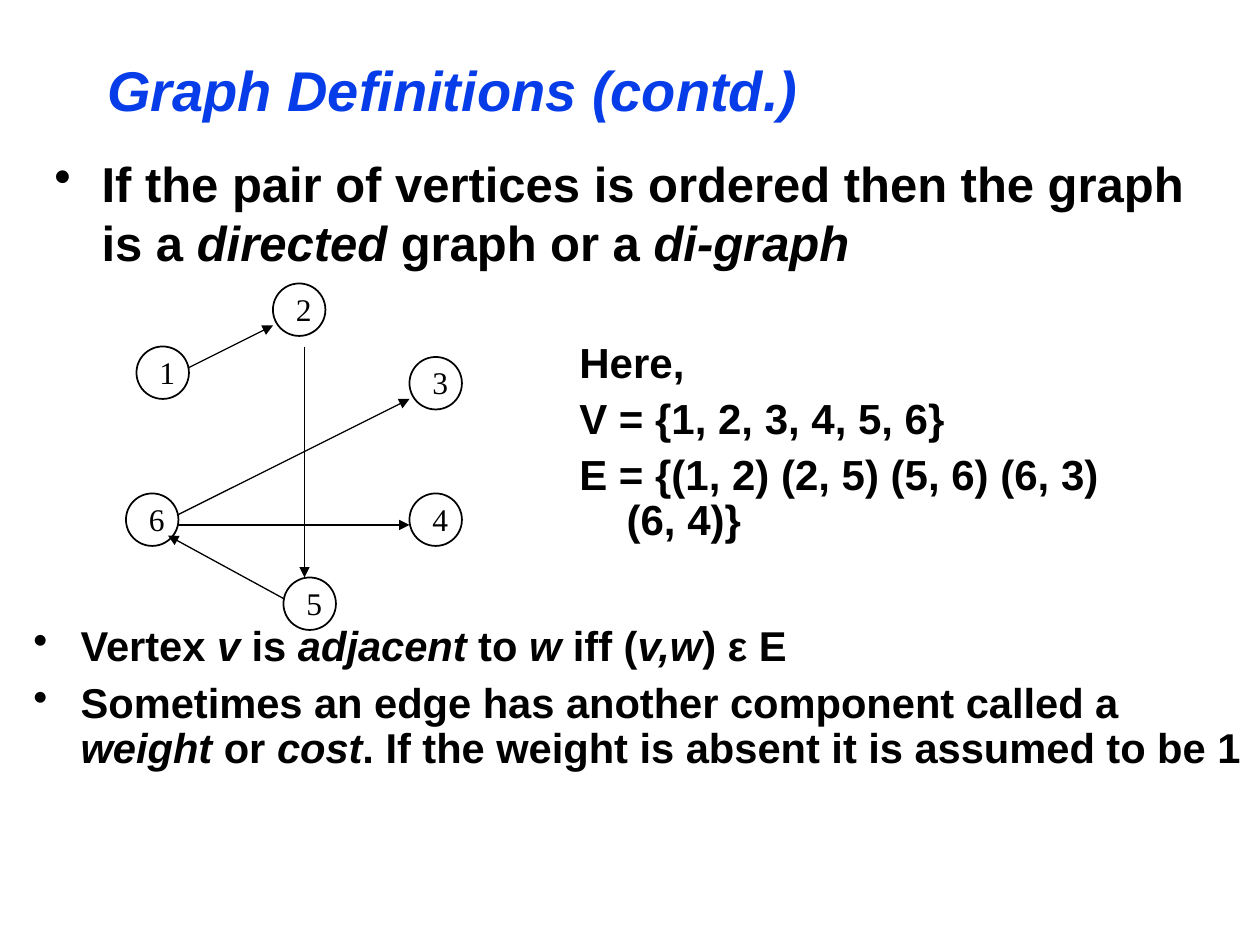
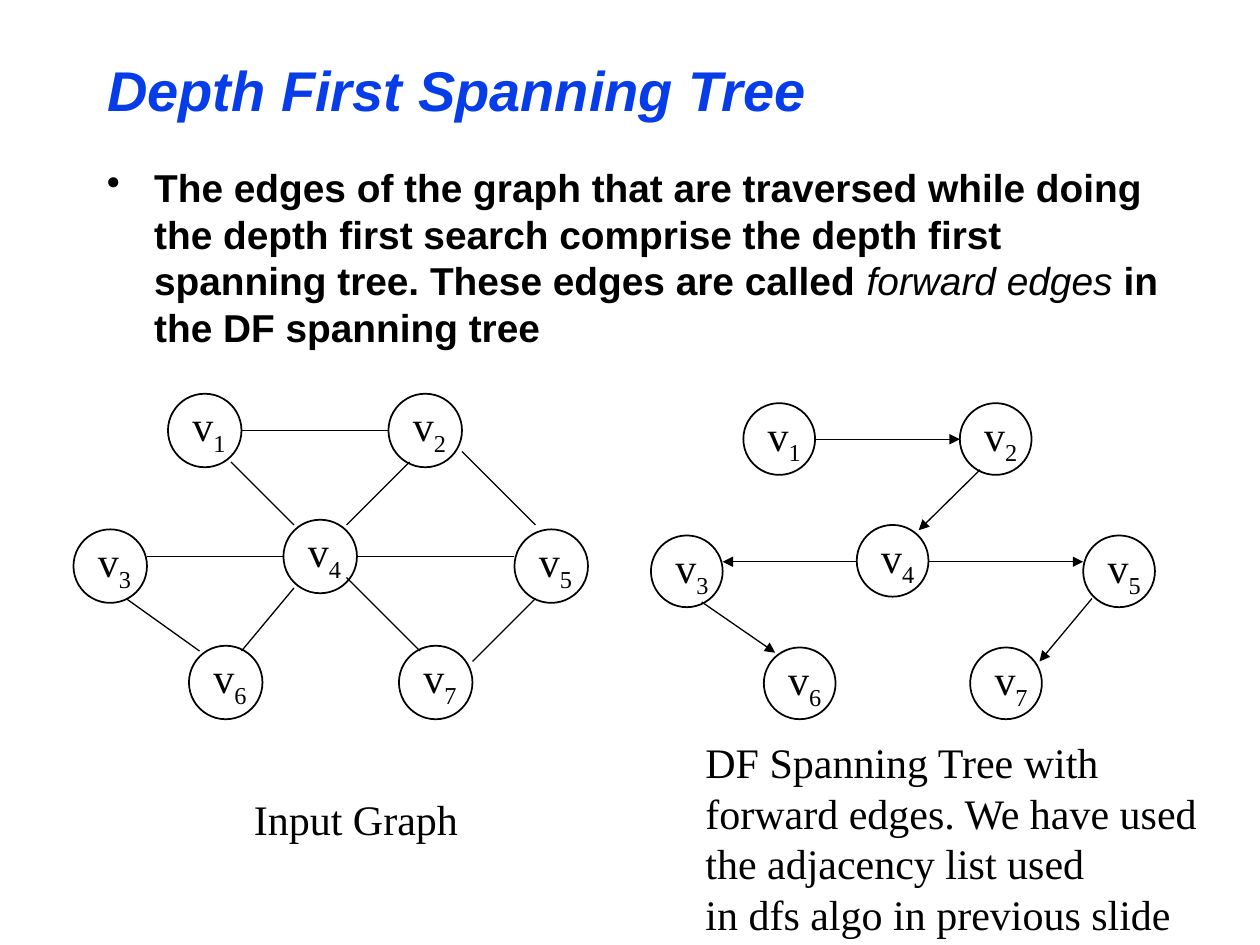
from dataclasses import dataclass

from lxml import etree
from pptx import Presentation
from pptx.dml.color import RGBColor
from pptx.enum.shapes import MSO_CONNECTOR, MSO_SHAPE
from pptx.enum.text import MSO_ANCHOR, MSO_AUTO_SIZE, PP_ALIGN
from pptx.oxml.ns import qn
from pptx.util import Pt

STRAIGHT = MSO_CONNECTOR.STRAIGHT
OVAL = MSO_SHAPE.OVAL
MIDDLE = MSO_ANCHOR.MIDDLE
FIXED = MSO_AUTO_SIZE.NONE
LEFT = PP_ALIGN.LEFT
TITLE_ONLY = 5


@dataclass(frozen=True)
class Theme:
    title_color: RGBColor = RGBColor(0x06, 0x3D, 0xE8)
    ink: RGBColor = RGBColor(0, 0, 0)
    sans: str = "Arial"
    serif: str = "Times New Roman"
    title_size: float = 32
    lead_size: float = 28
    text_size: float = 24
    remark_size: float = 23.8
    tree_size: float = 22.2
    number_size: float = 18
    hanging: float = 27
    node_line: float = 1
    edge_line: float = 0.75


theme = Theme()


def write_text(frame, paragraphs, size, font=theme.sans, bold=True, color=theme.ink,
               hanging=0, bullet=False, spacing=None, before=0):
    """Each paragraph is a list of (text, style); i = italic, l = light, s = subscript."""
    frame.word_wrap = True
    frame.auto_size = FIXED
    for index, runs in enumerate(paragraphs):
        paragraph = frame.add_paragraph() if index else frame.paragraphs[0]
        properties = paragraph._p.get_or_add_pPr()
        if hanging:
            properties.set("marL", str(Pt(hanging)))
            properties.set("indent", str(-Pt(hanging)))
        if bullet:
            bullet_color = etree.SubElement(properties, qn("a:buClr"))
            etree.SubElement(bullet_color, qn("a:srgbClr")).set("val", str(color))
            etree.SubElement(properties, qn("a:buChar")).set("char", "•")
        paragraph.alignment = LEFT
        if spacing:
            paragraph.line_spacing = spacing
        if index and before:
            paragraph.space_before = Pt(before)
        for text, style in runs:
            run = paragraph.add_run()
            run.text = text
            run.font.size = Pt(size)
            run.font.name = font
            run.font.bold = bold and "l" not in style
            run.font.italic = "i" in style
            run.font.color.rgb = color
            if "s" in style:
                run._r.get_or_add_rPr().set("baseline", "-25000")


def add_box(slide, left, top, width, height):
    return slide.shapes.add_textbox(Pt(left), Pt(top), Pt(width), Pt(height)).text_frame


prs = Presentation()
prs.slide_width, prs.slide_height = Pt(720), Pt(540)

# Titled slides
slides = []
for heading in ("Graph Definitions (contd.)", "Depth First Spanning Tree"):
    slide = prs.slides.add_slide(prs.slide_layouts[TITLE_ONLY])
    title = slide.shapes.title
    title.left, title.top, title.width, title.height = Pt(54), Pt(24), Pt(612), Pt(54)
    title.text_frame.vertical_anchor = MIDDLE
    write_text(title.text_frame, [[(heading, "i")]], theme.title_size, color=theme.title_color)
    slides.append(slide)
definitions, spanning = slides

# Directed graph: definition, example sets and remarks
write_text(add_box(definitions, 24, 84, 678, 90), [[
    ("If the pair of vertices is ordered then the graph is a ", ""),
    ("directed", "i"),
    (" graph or a ", ""),
    ("di-graph", "i"),
]], theme.lead_size, hanging=theme.hanging, bullet=True)

write_text(add_box(definitions, 324, 192, 330, 138), [
    [("Here,", "")],
    [("V = {1, 2, 3, 4, 5, 6}", "")],
    [("E = {(1, 2) (2, 5) (5, 6) (6, 3) (6, 4)}", "")],
], theme.text_size, hanging=theme.hanging, spacing=0.9, before=6)

write_text(add_box(definitions, 12, 354, 708, 132), [
    [("Vertex ", ""), ("v", "i"), (" is ", ""), ("adjacent", "i"), (" to ", ""),
     ("w", "i"), (" iff (", ""), ("v,w", "i"), (") ε E", "")],
    [("Sometimes an edge has another component called a ", ""), ("weight", "i"),
     (" or ", ""), ("cost", "i"),
     (". If the weight is absent it is assumed to be 1", "")],
], theme.remark_size, hanging=theme.hanging, bullet=True, spacing=0.9, before=7)

# Spanning tree: explanation and captions
write_text(add_box(spanning, 54, 90, 618, 122), [[
    ("The edges of the graph that are traversed while doing the depth first search "
     "comprise the depth first spanning tree. These edges are called ", ""),
    ("forward edges", "il"),
    (" in the DF spanning tree", ""),
]], theme.tree_size, hanging=theme.hanging, bullet=True)

write_text(add_box(spanning, 138, 450, 137, 36), [[("Input Graph", "")]],
           theme.text_size, theme.serif, bold=False)
write_text(add_box(spanning, 396, 417.6, 295, 122.4), [
    [("DF Spanning Tree with forward edges. We have used the adjacency list used", "")],
    [("in dfs algo in previous slide", "")],
], theme.text_size, theme.serif, bold=False)

# Graphs: vertices by number (left, top), edges as (x1, y1, x2, y2)
digraph = dict(
    slide=definitions, diameter=30, prefix="", size=theme.number_size,
    label=(6, 24, 29), inset=7.2, arrows=True,
    vertices={1: (78, 198), 2: (156, 162), 5: (162, 330),
              6: (72, 282), 4: (234, 282), 3: (234, 204)},
    edges=[(108, 210, 156, 186), (174, 198, 174, 330), (102, 294, 234, 228),
           (102, 300, 234, 300), (162, 342, 96, 306)],
)
input_graph = dict(
    slide=spanning, diameter=42, prefix="v", size=theme.text_size,
    label=(0.7, 39, 40), inset=13.2, arrows=False,
    vertices={1: (96, 225), 3: (42, 302.5), 2: (222, 225), 6: (108, 369),
              4: (162, 297), 5: (294, 302.5), 7: (228, 369)},
    edges=[(138, 246, 222, 246), (264, 258, 306, 300), (132, 264, 168, 300),
           (234, 264, 198, 300), (162, 318, 84, 318), (204, 318, 294, 318),
           (72, 342, 114, 372), (168, 336, 138, 372), (198, 330, 240, 372),
           (306, 342, 270, 378)],
)
spanning_tree = dict(
    input_graph, diameter=41, arrows=True,
    vertices={1: (424.8, 230.4), 3: (372, 306), 2: (548.5, 230.4), 6: (436.5, 370),
              4: (489.6, 300), 5: (619, 306), 7: (554.4, 370)},
    edges=[(466, 251, 548.5, 251), (560, 268.5, 525, 303), (489.6, 321, 413, 321),
           (530.6, 321, 619, 321), (401, 344, 443, 373), (624, 342, 594, 378)],
)

for graph in (digraph, input_graph, spanning_tree):
    shapes = graph["slide"].shapes
    label_shift, label_width, label_height = graph["label"]

    # Vertices: a circle grouped with its label
    for number, (left, top) in graph["vertices"].items():
        vertex = shapes.add_group_shape().shapes
        circle = vertex.add_shape(OVAL, Pt(left), Pt(top),
                                  Pt(graph["diameter"]), Pt(graph["diameter"]))
        circle.shadow.inherit = False
        circle.fill.background()
        circle.line.color.rgb = theme.ink
        circle.line.width = Pt(theme.node_line)
        label = vertex.add_textbox(Pt(left + label_shift), Pt(top),
                                   Pt(label_width), Pt(label_height)).text_frame
        label.margin_left, label.margin_right = Pt(graph["inset"]), 0
        if graph["prefix"]:
            name = [(graph["prefix"], ""), (str(number), "s")]
        else:
            name = [(str(number), "")]
        write_text(label, [name], graph["size"], theme.serif, bold=False)

    # Edges
    for ends in graph["edges"]:
        edge = shapes.add_connector(STRAIGHT, *(Pt(value) for value in ends))
        edge.line.color.rgb = theme.ink
        edge.line.width = Pt(theme.edge_line)
        etree.SubElement(edge._element.spPr, qn("a:effectLst"))
        if graph["arrows"]:
            etree.SubElement(edge.line._get_or_add_ln(), qn("a:tailEnd")).set("type", "triangle")

prs.save("out.pptx")
